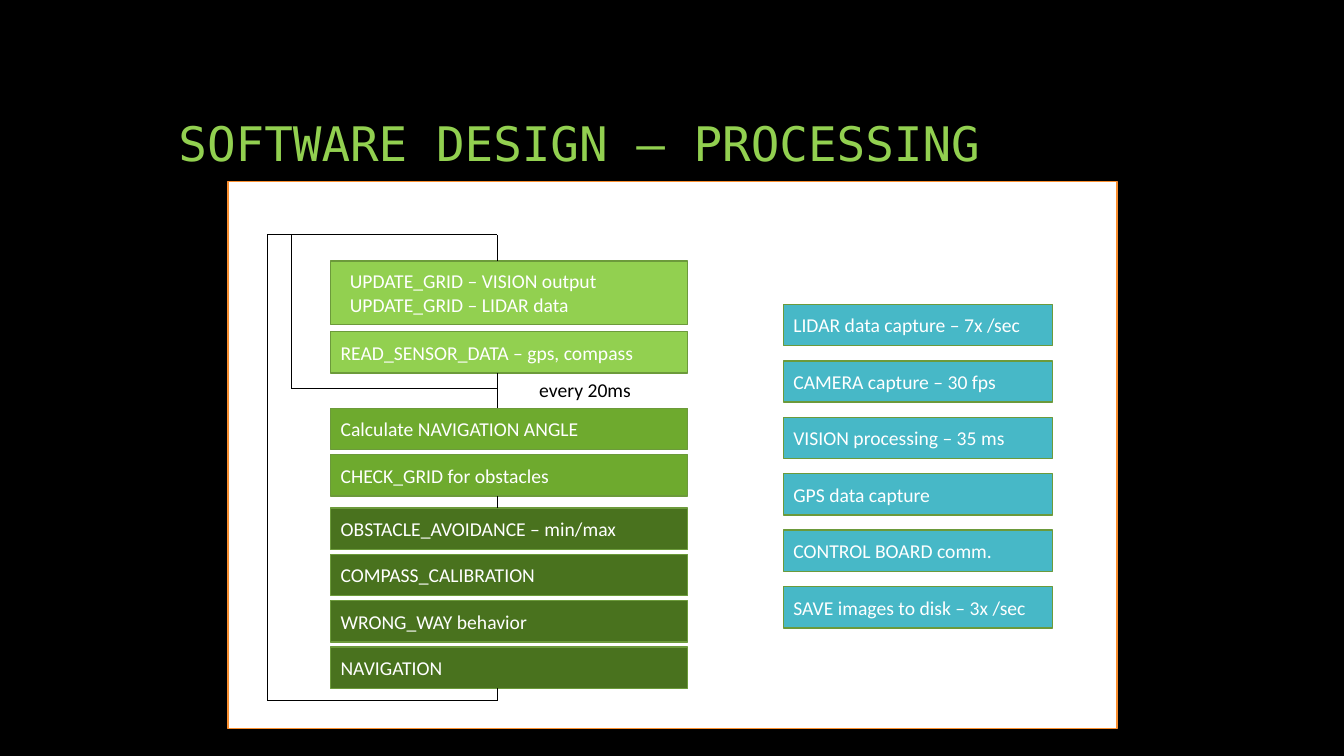
from pptx import Presentation
from pptx.dml.color import RGBColor
from pptx.enum.shapes import MSO_CONNECTOR, MSO_SHAPE
from pptx.enum.text import MSO_ANCHOR, MSO_AUTO_SIZE, PP_ALIGN
from pptx.oxml.ns import qn
from pptx.util import Inches, Pt
from lxml.etree import SubElement


def rgb(color):
    return RGBColor.from_string(color)


class Deck:
    font = "Calibri"
    title_font = "DejaVu Sans Mono"
    size = 14
    black, white = "000000", "FFFFFF"
    lime, green, forest, teal = "92D050", "6EAA2E", "49721E", "47B8C7"
    edge, orange = "6C9A3B", "FA8F30"

    def __init__(self, prs):
        self.s = prs.slides.add_slide(prs.slide_layouts[5])
        fill = self.s.background.fill
        fill.solid()
        fill.fore_color.rgb = rgb(self.black)

    def set_text(self, tf, text, color, size=None, font=None):
        p = tf.paragraphs[0]
        p.text = text
        p.alignment = PP_ALIGN.LEFT
        for r in p.runs:
            r.font.name = font or self.font
            r.font.size = Pt(size or self.size)
            r.font.color.rgb = rgb(color)
        return p

    def title(self, text, x, y, w, h):
        sp = self.s.shapes.title
        sp.left, sp.top, sp.width, sp.height = map(Inches, (x, y, w, h))
        tf = sp.text_frame
        tf.word_wrap = True
        tf.auto_size = MSO_AUTO_SIZE.NONE
        tf.vertical_anchor = MSO_ANCHOR.BOTTOM
        p = self.set_text(tf, text, self.lime, 34, self.title_font)
        p.line_spacing = 0.9

    def rect(self, x, y, w, h, fill, line):
        sp = self.s.shapes.add_shape(MSO_SHAPE.RECTANGLE, *map(Inches, (x, y, w, h)))
        sp.shadow.inherit = False
        sp.fill.solid()
        sp.fill.fore_color.rgb = rgb(fill)
        sp.line.color.rgb = rgb(line)
        sp.line.width = Pt(1)
        return sp

    def box(self, text, x, y, w, fill, h=0.41, inset=0.1):
        tf = self.rect(x, y, w, h, fill, self.edge).text_frame
        tf.word_wrap = True
        tf.vertical_anchor = MSO_ANCHOR.MIDDLE
        tf.margin_left = Inches(inset)
        self.set_text(tf, text, self.white)

    def stack(self, texts, x, y, w, step, fill):
        for i, text in enumerate(texts):
            self.box(text, x, y + i * step, w, fill)

    def label(self, text, x, y, w, h):
        tf = self.s.shapes.add_textbox(*map(Inches, (x, y, w, h))).text_frame
        tf.word_wrap = False
        tf.auto_size = MSO_AUTO_SIZE.SHAPE_TO_FIT_TEXT
        self.set_text(tf, text, self.black)

    def line(self, x1, y1, x2, y2):
        c = self.s.shapes.add_connector(
            MSO_CONNECTOR.STRAIGHT, *map(Inches, (x1, y1, x2, y2)))
        c.line.color.rgb = rgb(self.black)
        c.line.width = Pt(0.5)
        SubElement(c._element.spPr, qn("a:effectLst"))


def main():
    prs = Presentation()
    prs.slide_width, prs.slide_height = Inches(13.33), Inches(7.5)
    d = Deck(prs)

    d.title("SOFTWARE DESIGN – PROCESSING", 1.67, 0.5, 10, 1.25)
    d.rect(2.26, 1.8, 8.82, 5.43, d.white, d.orange)

    left, width, step = 3.28, 3.54, 0.46
    d.box("UPDATE_GRID – VISION output\vUPDATE_GRID – LIDAR data",
          left, 2.59, width, d.lime, h=0.63, inset=0.19)
    d.box("READ_SENSOR_DATA – gps, compass", left, 3.29, width, d.lime)
    d.stack(["Calculate NAVIGATION ANGLE", "CHECK_GRID for obstacles"],
            left, 4.05, width, step, d.green)
    d.stack(["OBSTACLE_AVOIDANCE – min/max", "COMPASS_CALIBRATION",
             "WRONG_WAY behavior", "NAVIGATION"],
            left, 5.04, width, step, d.forest)

    outer, inner, trunk = 2.65, 2.89, 4.93
    top, middle, bottom = 2.33, 3.85, 6.95
    for y1, y2 in [(top, 2.59), (3.7, 4.05), (4.92, 5.04), (6.83, bottom)]:
        d.line(trunk, y1, trunk, y2)
    for x, y in [(outer, bottom), (inner, middle)]:
        d.line(x, y, x, top)
        d.line(x, y, trunk, y)
    d.line(outer, top, trunk, top)
    d.label("every 20ms", 5.25, 3.7, 1.14, 0.34)

    d.stack(["LIDAR data capture – 7x /sec", "CAMERA capture – 30 fps",
             "VISION processing – 35 ms", "GPS data capture",
             "CONTROL BOARD comm.", "SAVE images to disk – 3x /sec"],
            7.77, 3.02, 2.67, 0.56, d.teal)

    prs.save("out.pptx")


if __name__ == "__main__":
    main()
